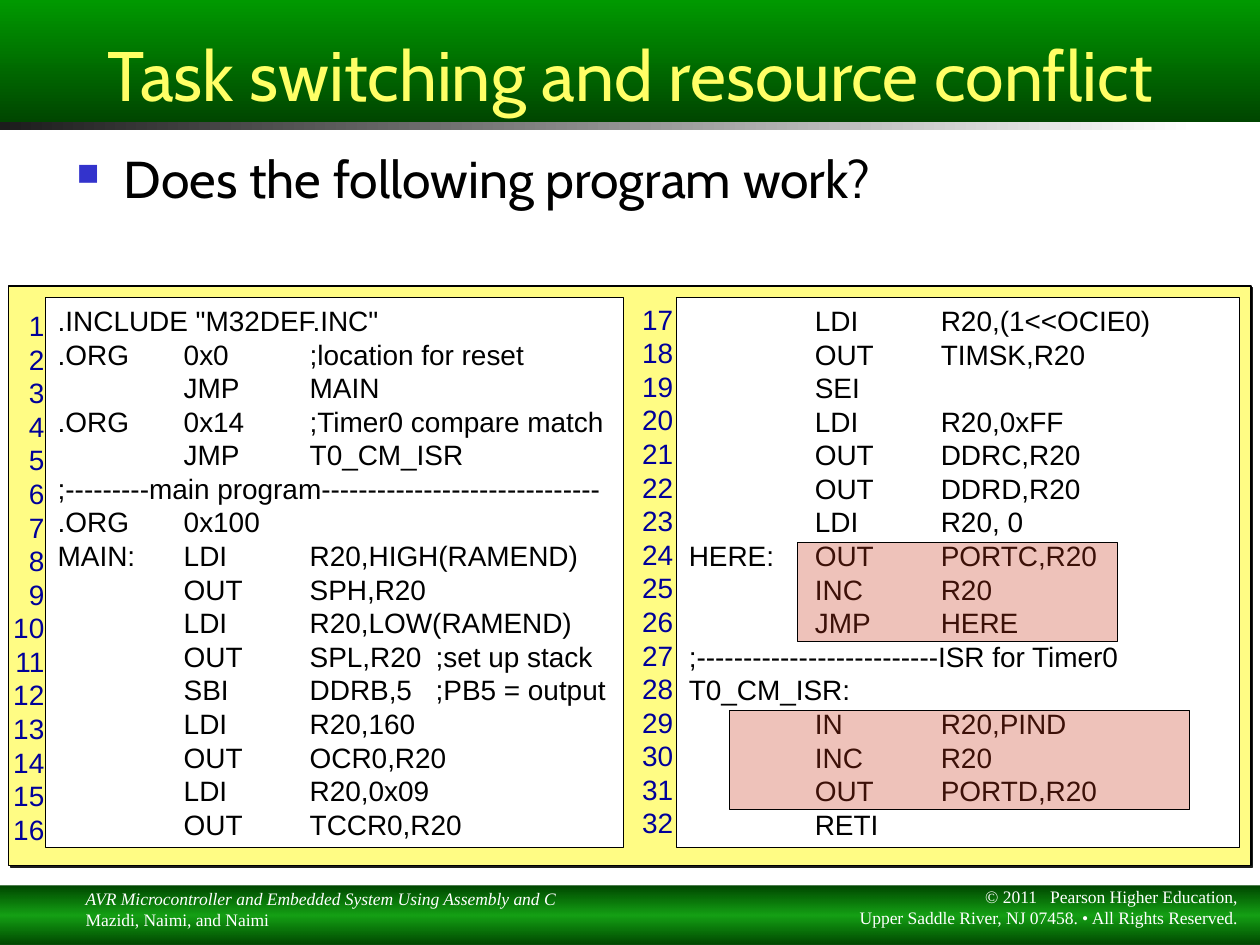
from lxml import etree
from pptx import Presentation
from pptx.enum import shapes, text
from pptx.oxml import ns
from pptx.dml.color import RGBColor
from pptx.util import Pt

COLOURS = {
    "green": "009900", "dark_green": "004600", "charcoal": "1C1C1C", "white": "FFFFFF",
    "black": "000000", "title": "FFFF66", "bullet": "3333CC", "panel": "FFFC84",
    "number": "000099", "highlight": "C9381B",
}
PITCH = 19.2
INSET = 3.6
LEFT_CODE = """.INCLUDE "M32DEF.INC"
.ORG\t0x0\t;location for reset
\tJMP\tMAIN
.ORG\t0x14\t;Timer0 compare match
\tJMP\tT0_CM_ISR
;---------main program------------------------------
.ORG\t0x100
MAIN:\tLDI\tR20,HIGH(RAMEND)
\tOUT\tSPH,R20
\tLDI\tR20,LOW(RAMEND)
\tOUT\tSPL,R20\t;set up stack
\tSBI\tDDRB,5\t;PB5 = output
\tLDI\tR20,160
\tOUT\tOCR0,R20
\tLDI\tR20,0x09
\tOUT\tTCCR0,R20""".split("\n")
RIGHT_CODE = """\tLDI\tR20,(1<<OCIE0)
\tOUT\tTIMSK,R20
\tSEI
\tLDI\tR20,0xFF
\tOUT\tDDRC,R20
\tOUT\tDDRD,R20
\tLDI\tR20, 0
HERE:\tOUT\tPORTC,R20
\tINC\tR20
\tJMP\tHERE
;--------------------------ISR for Timer0
T0_CM_ISR:
\tIN\tR20,PIND
\tINC\tR20
\tOUT\tPORTD,R20
\tRETI""".split("\n")


def rgb(name):
    """Return the named colour."""
    return RGBColor.from_string(COLOURS[name])


def add_node(parent, tag, **attributes):
    """Append a DrawingML element."""
    return etree.SubElement(parent, ns.qn("a:" + tag), {k: str(v) for k, v in attributes.items()})


def add_box(slide, box, fill=None, outlined=False):
    """Add a plain rectangle without a shadow."""
    shape = slide.shapes.add_shape(shapes.MSO_SHAPE.RECTANGLE, *map(Pt, box))
    shape.shadow.inherit = False
    if fill:
        shape.fill.solid()
        shape.fill.fore_color.rgb = rgb(fill)
    if outlined:
        shape.line.color.rgb = rgb("black")
        shape.line.width = Pt(0.75)
    else:
        shape.line.fill.background()
    return shape


def add_gradient(slide, box, stops, angle):
    """Add a rectangle with a linear gradient of (position, colour, opacity) stops."""
    shape = add_box(slide, box)
    shape.fill.gradient()
    shape.fill.gradient_angle = angle
    stop_list = shape.element.spPr.find(".//" + ns.qn("a:gsLst"))
    for child in list(stop_list):
        stop_list.remove(child)
    for position, colour, opacity in stops:
        stop = add_node(stop_list, "gs", pos=position * 1000)
        node = add_node(stop, "srgbClr", val=COLOURS[colour])
        if opacity < 100:
            add_node(node, "alpha", val=opacity * 1000)
    return shape


def add_text_box(slide, box):
    """Add an empty text box."""
    return slide.shapes.add_textbox(*map(Pt, box))


def write(shape, lines, font, align="LEFT", anchor="TOP", spacing=None, tabs=0, bullet=None):
    """Fill a shape with one paragraph for each line and return the paragraphs."""
    frame = shape.text_frame
    frame.word_wrap = True
    frame.vertical_anchor = getattr(text.MSO_ANCHOR, anchor)
    for index, line in enumerate(lines):
        paragraph = frame.add_paragraph() if index else frame.paragraphs[0]
        paragraph.text = line
        paragraph.alignment = getattr(text.PP_ALIGN, align)
        if spacing:
            paragraph.line_spacing = Pt(spacing)
        properties = paragraph._p.get_or_add_pPr()
        if bullet:
            properties.set("marL", str(Pt(27)))
            properties.set("indent", str(-Pt(27)))
            add_node(add_node(properties, "buClr"), "srgbClr", val=COLOURS["bullet"])
            add_node(properties, "buSzPct", val=60000)
            add_node(properties, "buChar", char=bullet)
        if tabs:
            stops = add_node(properties, "tabLst")
            for stop in range(1, tabs + 1):
                add_node(stops, "tab", pos=Pt(72 * stop), algn="l")
        for name, value in font.items():
            if name != "color":
                setattr(paragraph.font, name, value)
        paragraph.font.color.rgb = rgb(font["color"])
    return frame.paragraphs


def add_header(slide, left, top, width, height):
    """Place the title band and the fading strip below it."""
    add_gradient(slide, (left, top + height, width * 0.95, 4.3),
                 [(0, "charcoal", 100), (100, "white", 100)], 0)
    band = add_gradient(slide, (left, top, width, height),
                        [(0, "green", 100), (100, "dark_green", 100)], 270)
    write(band, ["Task switching and resource conflict"],
          {"name": "Cabin", "size": Pt(40), "color": "title"}, "CENTER", "BOTTOM")


def add_question(slide, *box):
    """Place the bulleted question."""
    write(add_text_box(slide, box), ["Does the following program work?"],
          {"name": "Cabin", "size": Pt(29.6), "color": "black"}, bullet="■")


def add_footer(slide, left, top, width, height):
    """Place the footer band with the book credit and the copyright."""
    add_gradient(slide, (left, top, width, height),
                 [(0, "dark_green", 100), (50, "green", 92), (100, "dark_green", 100)], 270)
    font = {"name": "Times New Roman", "size": Pt(10), "color": "white"}
    credit = write(add_text_box(slide, (left + 41.8, top - 2.2, 298, 31.7)),
                   ["AVR Microcontroller and Embedded System Using Assembly and C",
                    "Mazidi, Naimi, and Naimi"], font)
    credit[0].font.italic = True
    write(add_text_box(slide, (left + 414, top - 3.6, 300.2, 31.7)),
          ["© 2011   Pearson Higher Education,\vUpper Saddle River, NJ 07458. • All Rights Reserved."],
          font, "RIGHT")


def add_listing(slide, box, lines, first_number, number_offset, highlights=()):
    """Place a code listing, its line numbers and three-line highlights."""
    left, top, width, height = box
    font = {"name": "Arial", "size": Pt(16), "color": "black"}
    write(add_box(slide, box, "white", True), lines, font, spacing=PITCH, tabs=4)
    shift_x, shift_y = number_offset
    numbers = add_text_box(slide, (left + shift_x, top + shift_y, 38.9, height))
    write(numbers, map(str, range(first_number, first_number + len(lines))),
          {**font, "color": "number"}, "RIGHT", spacing=PITCH)
    for row, indent, span in highlights:
        mark = add_box(slide, (left + indent, top + INSET + row * PITCH + 1.9, span, 56.9),
                       "highlight", True)
        colour = mark.element.spPr.find(ns.qn("a:solidFill"))[0]
        add_node(colour, "alpha", val=30000)


def add_program(slide, left, top, width, height):
    """Place the yellow panel with both halves of the program."""
    panel = add_box(slide, (left, top, width, height), "panel", True)
    effects = panel.element.spPr.find(ns.qn("a:effectLst"))
    shadow = add_node(effects, "outerShdw", blurRad=0, dist=Pt(1.4), dir=45 * 60000)
    add_node(shadow, "srgbClr", val=COLOURS["charcoal"])
    add_listing(slide, (left + 20.9, top + 6.5, 330.5, 314.6), LEFT_CODE, 1, (-32.4, 2.9))
    add_listing(slide, (left + 381.6, top + 6.5, 321.8, 314.6), RIGHT_CODE, 17, (-33.8, -0.7),
                [(12, 30.2, 262.8), (7, 69.1, 182.9)])


def main():
    """Build and save the slide."""
    presentation = Presentation()
    presentation.slide_width, presentation.slide_height = Pt(720), Pt(540)
    slide = presentation.slides.add_slide(presentation.slide_layouts[6])
    add_footer(slide, 0, 506.2, 720, 33.8)
    add_header(slide, 0, 0, 720, 69.8)
    add_question(slide, 36.7, 80.6, 654.5, 45.4)
    add_program(slide, 5, 163.4, 709.9, 331.2)
    presentation.save("out.pptx")


if __name__ == "__main__":
    main()
